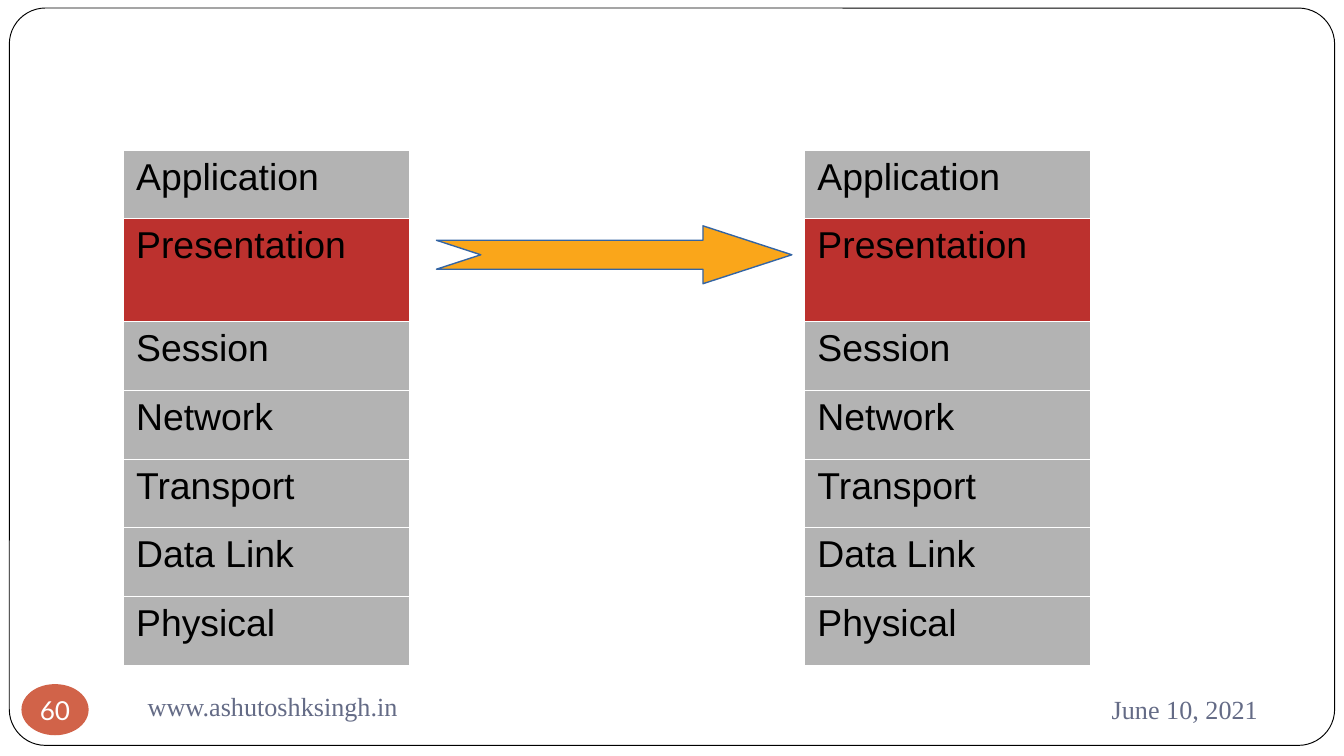
from dataclasses import dataclass

from lxml.etree import SubElement
from pptx import Presentation
from pptx.dml.color import RGBColor as RGB
from pptx.enum.shapes import MSO_SHAPE as SHAPE
from pptx.enum.text import MSO_ANCHOR as ANCHOR, PP_ALIGN as ALIGN
from pptx.oxml import parse_xml
from pptx.oxml.ns import nsdecls, qn
from pptx.util import Pt


@dataclass(frozen=True)
class Theme:
    """Colours, fonts and type sizes of the deck."""
    black: str = "000000"
    white: str = "FFFFFF"
    layer: str = "B3B3B3"
    active: str = "BC312E"
    arrow: str = "FAA61A"
    arrow_line: str = "3465A4"
    badge: str = "D16349"
    footer: str = "646B86"
    layer_font: str = "Arial"
    footer_font: str = "Times New Roman"
    badge_font: str = "Lato"
    layer_size: int = 20
    footer_size: int = 14
    border: float = 0.06


T = Theme()
LAYERS = ["Application", "Presentation", "Session", "Network",
          "Transport", "Data Link", "Physical"]
ACTIVE = "Presentation"


def points(*values):
    """Turn numbers into point lengths."""
    return [Pt(v) for v in values]


def write(tf, text, font, size, color, align=ALIGN.LEFT):
    """Put one formatted paragraph into a text frame."""
    p = tf.paragraphs[0]
    p.text, p.alignment = text, align
    p.font.name, p.font.size = font, Pt(size)
    p.font.color.rgb = RGB.from_string(color)


def add_shape(s, kind, box, fill, line=None, width=0):
    """Add a flat preset shape, outlined if a line colour is given."""
    sp = s.shapes.add_shape(kind, *points(*box))
    sp.shadow.inherit = False
    sp.fill.solid()
    sp.fill.fore_color.rgb = RGB.from_string(fill)
    if line:
        sp.line.color.rgb = RGB.from_string(line)
        sp.line.width = Pt(width)
    else:
        sp.line.fill.background()
    return sp


def set_borders(cell):
    """Draw a hairline on all four sides of a cell."""
    tc_pr = cell._tc.get_or_add_tcPr()
    for i, side in enumerate("LRTB"):
        ln = parse_xml(f'<a:ln{side} {nsdecls("a")} w="{Pt(T.border)}"/>')
        fill = SubElement(ln, qn("a:solidFill"))
        SubElement(fill, qn("a:srgbClr"), val=T.white)
        tc_pr.insert(i, ln)


def add_frame(s, box):
    """Draw the rounded frame around the slide."""
    sp = add_shape(s, SHAPE.ROUNDED_RECTANGLE, box, T.white, T.black, 0.5)
    sp.adjustments[0] = 0.049


def add_stack(s, box):
    """Build the layer table, with the active row half as tall again."""
    table = s.shapes.add_table(len(LAYERS), 1, *points(*box)).table
    table.first_row = table.horz_banding = False
    unit = box[3] / (len(LAYERS) + 0.5)
    for row, name in zip(table.rows, LAYERS):
        active = name == ACTIVE
        row.height = Pt(unit * (1.5 if active else 1))
        cell = row.cells[0]
        cell.fill.solid()
        cell.fill.fore_color.rgb = RGB.from_string(T.active if active else T.layer)
        set_borders(cell)
        write(cell.text_frame, name, T.layer_font, T.layer_size, T.black)


def add_arrow(s, box):
    """Draw the notched arrow between the active layers."""
    sp = add_shape(s, SHAPE.NOTCHED_RIGHT_ARROW, box, T.arrow, T.arrow_line, 0.75)
    sp.adjustments[0] = 0.5
    sp.adjustments[1] = box[2] / 4 / box[3]


def add_footer_text(s, box, text, align):
    """Write one footer entry."""
    tf = s.shapes.add_textbox(*points(*box)).text_frame
    tf.word_wrap, tf.vertical_anchor = True, ANCHOR.MIDDLE
    write(tf, text, T.footer_font, T.footer_size, T.footer, align)


def add_badge(s, box, number):
    """Draw the oval page number."""
    tf = add_shape(s, SHAPE.OVAL, box, T.badge).text_frame
    tf.margin_left = tf.margin_right = tf.margin_top = tf.margin_bottom = 0
    tf.word_wrap, tf.vertical_anchor = False, ANCHOR.MIDDLE
    write(tf, number, T.badge_font, T.footer_size, T.white, ALIGN.CENTER)


def main():
    """Build and save the slide."""
    prs = Presentation()
    prs.slide_width, prs.slide_height = points(720, 405)
    s = prs.slides.add_slide(prs.slide_layouts[6])
    add_frame(s, (5, 4.3, 710, 395))
    add_arrow(s, (233.8, 121, 190.4, 31))
    for left in (65.7, 430.7):
        add_stack(s, (left, 80.2, 153.3, 276))
    add_footer_text(s, (486, 366, 195, 28), "June 10, 2021", ALIGN.RIGHT)
    add_badge(s, (11.5, 366.5, 36, 27.4), "60")
    add_footer_text(s, (72, 364.5, 312, 27.4), "www.ashutoshksingh.in", ALIGN.LEFT)
    prs.save("out.pptx")


if __name__ == "__main__":
    main()
